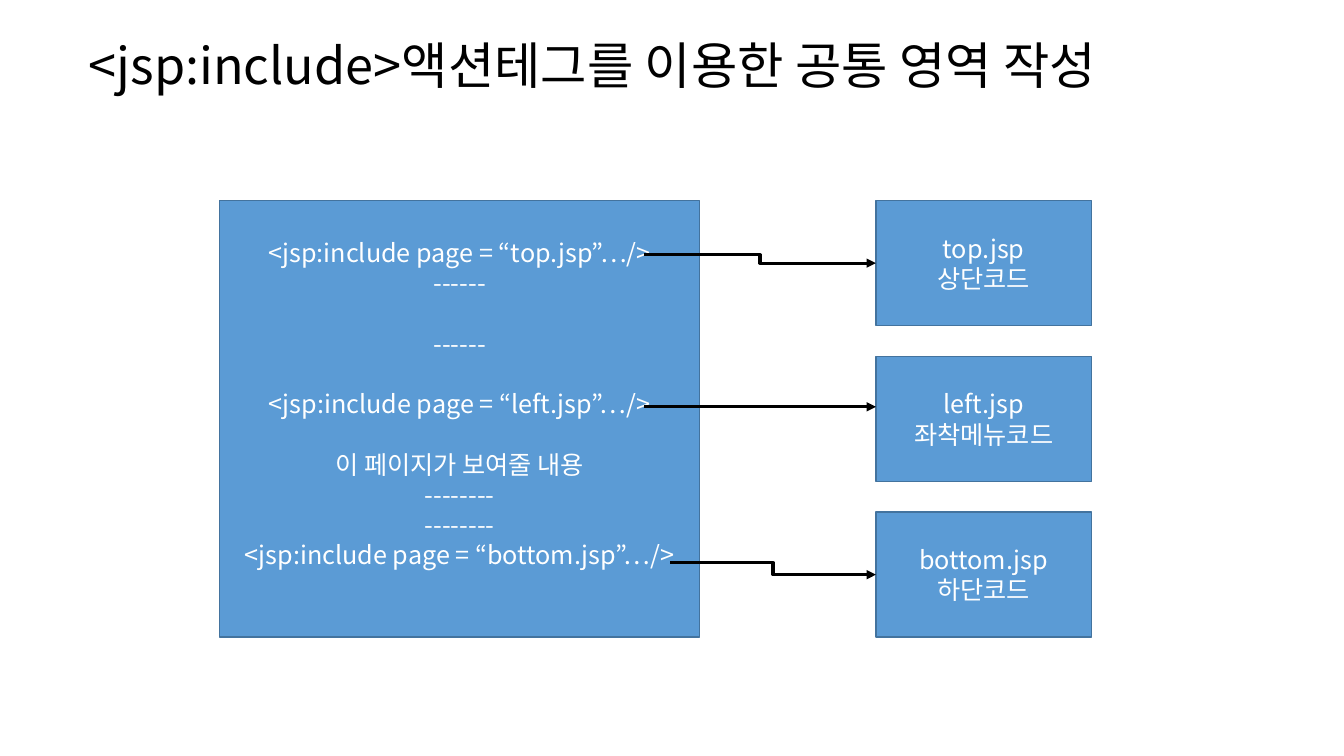
"""Build a slide on shared page areas made with the jsp:include action tag."""
from dataclasses import dataclass

from lxml.etree import SubElement
from pptx import Presentation
from pptx.dml.color import RGBColor
from pptx.enum.shapes import MSO_CONNECTOR, MSO_SHAPE
from pptx.enum.text import MSO_ANCHOR, PP_ALIGN
from pptx.oxml.ns import qn
from pptx.shapes.autoshape import Shape
from pptx.slide import Slide
from pptx.text.text import _Paragraph
from pptx.util import Pt

FONT = "Noto Sans CJK KR"
BLACK = RGBColor(0x00, 0x00, 0x00)
WHITE = RGBColor(0xFF, 0xFF, 0xFF)
BLUE = RGBColor(0x5B, 0x9B, 0xD5)
DARK_BLUE = RGBColor(0x43, 0x73, 0x9E)
LINE_PITCH = 21.6
BOX_TOP = 143.3
PAGE_LEFT, PAGE_WIDTH, PAGE_HEIGHT = 157, 342.7, 311.8
PART_LEFT, PART_WIDTH, PART_HEIGHT = 625.7, 154, 89.3
PART_PITCH = (PAGE_HEIGHT - PART_HEIGHT) / 2


@dataclass(frozen=True)
class Line:
    """A line of box text, with the number of empty lines above it."""
    text: str
    gap: int = 0


@dataclass(frozen=True)
class Part:
    """An included file, and where the arrow to it starts."""
    file: str
    label: str
    arrow_x: float
    arrow_y: float
    bent: bool = True


PAGE_LINES = [
    Line("<jsp:include page = “top.jsp”…/>"),
    Line("------"),
    Line("------", 1),
    Line("<jsp:include page = “left.jsp”…/>", 1),
    Line("이 페이지가 보여줄 내용", 1),
    Line("--------"),
    Line("--------"),
    Line("<jsp:include page = “bottom.jsp”…/>"),
]
PARTS = [
    Part("top.jsp", "상단코드", 460, 182),
    Part("left.jsp", "좌착메뉴코드", 460, 290.6, bent=False),
    Part("bottom.jsp", "하단코드", 478.6, 401.8),
]


def add_text(p: _Paragraph, text: str, size: float, color: RGBColor) -> None:
    """Add a run in the slide's font."""
    r = p.add_run()
    r.text = text
    r.font.size = Pt(size)
    r.font.name = FONT
    r.font.color.rgb = color
    SubElement(r.font._element, qn("a:ea"), typeface=FONT)


def add_title(s: Slide, text: str) -> None:
    """Place and fill the title placeholder."""
    sp = s.shapes.title
    sp.left, sp.top, sp.width, sp.height = Pt(56.2), Pt(20.2), Pt(890.6), Pt(51)
    tf = sp.text_frame
    tf.word_wrap = True
    tf.vertical_anchor = MSO_ANCHOR.MIDDLE
    p = tf.paragraphs[0]
    p.alignment = PP_ALIGN.LEFT
    add_text(p, text, 36, BLACK)


def add_box(s: Slide, left: float, top: float, width: float, height: float,
            lines: list[Line], gap_below: int = 0) -> Shape:
    """Add a blue box with centred lines of text."""
    sp = s.shapes.add_shape(MSO_SHAPE.RECTANGLE, Pt(left), Pt(top), Pt(width), Pt(height))
    sp.shadow.inherit = False
    sp.fill.solid()
    sp.fill.fore_color.rgb = BLUE
    sp.line.color.rgb = DARK_BLUE
    sp.line.width = Pt(1)
    tf = sp.text_frame
    tf.word_wrap = True
    tf.vertical_anchor = MSO_ANCHOR.MIDDLE
    tf.margin_bottom = Pt(3.6 + gap_below * LINE_PITCH)
    for i, line in enumerate(lines):
        p = tf.add_paragraph() if i else tf.paragraphs[0]
        p.alignment = PP_ALIGN.CENTER
        p.line_spacing = Pt(LINE_PITCH)
        p.space_before = Pt(line.gap * LINE_PITCH)
        add_text(p, line.text, 18, WHITE)
    return sp


def add_arrow(s: Slide, part: Part, box: Shape) -> None:
    """Draw the arrow from an include tag to its file."""
    kind = MSO_CONNECTOR.ELBOW if part.bent else MSO_CONNECTOR.STRAIGHT
    y = Pt(part.arrow_y)
    c = s.shapes.add_connector(kind, Pt(part.arrow_x), y, box.left, y)
    if part.bent:
        c.end_connect(box, 1)
    c.line.color.rgb = BLACK
    c.line.width = Pt(2.25)
    SubElement(c.line._get_or_add_ln(), qn("a:tailEnd"), type="triangle")
    SubElement(c._element.spPr, qn("a:effectLst"))


def main() -> None:
    """Build and save the slide."""
    prs = Presentation()
    prs.slide_width, prs.slide_height = Pt(960), Pt(540)
    s = prs.slides.add_slide(prs.slide_layouts[5])
    add_title(s, "<jsp:include>액션테그를 이용한 공통 영역 작성")
    add_box(s, PAGE_LEFT, BOX_TOP, PAGE_WIDTH, PAGE_HEIGHT, PAGE_LINES, gap_below=1)
    for i, part in enumerate(PARTS):
        box = add_box(s, PART_LEFT, BOX_TOP + i * PART_PITCH, PART_WIDTH, PART_HEIGHT,
                      [Line(part.file), Line(part.label)])
        add_arrow(s, part, box)
    prs.save("out.pptx")


if __name__ == "__main__":
    main()
